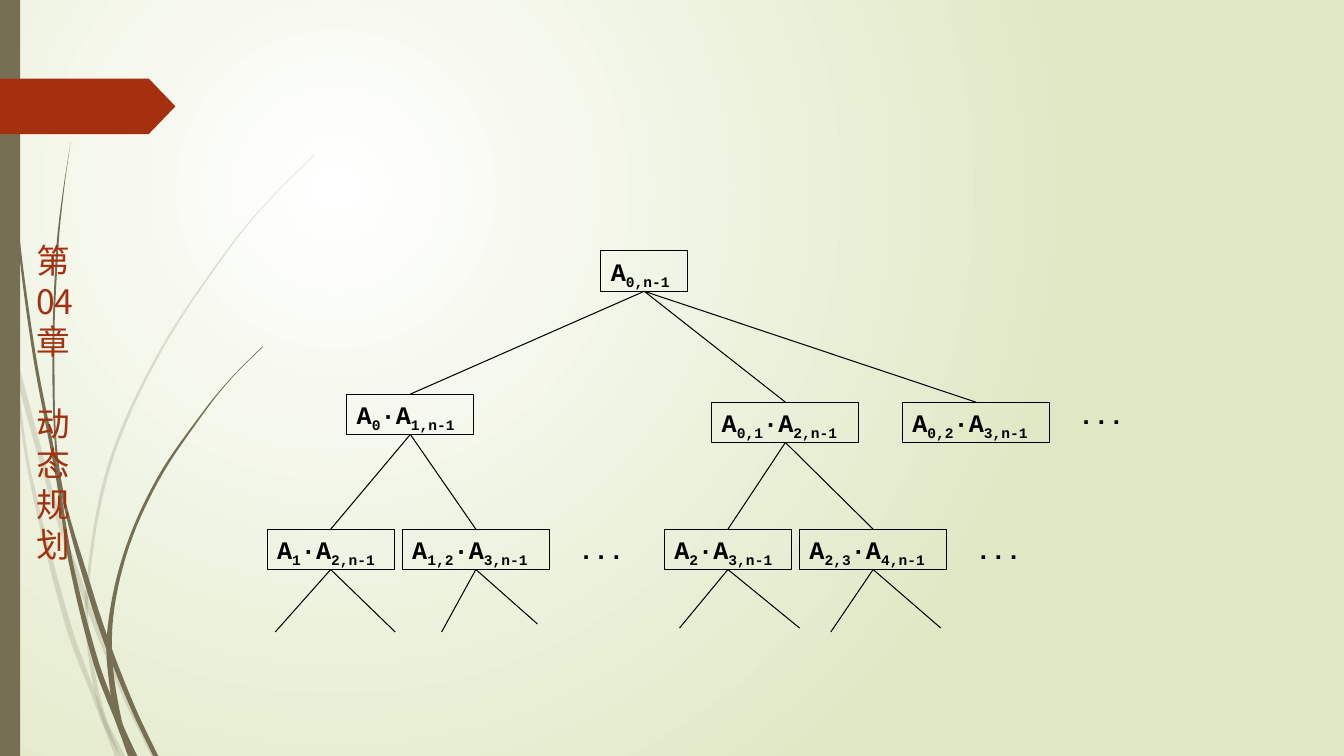
import pptx
import pptx.util
import pptx.dml.color
import pptx.enum.shapes
import pptx.enum.text
import pptx.oxml
import pptx.oxml.ns
from lxml import etree

# Content: each tree node is (terms, parent, left, top); a term is (letter, subscript)
CHAPTER = [("第", "04", "章"), ("动", "态", "规", "划")]
NODES = {
    "root": ([("A", "0,n-1")], None, 5.96, 2.49),
    "split 0": ([("A", "0"), ("·A", "1,n-1")], "root", 3.44, 3.91),
    "split 1": ([("A", "0,1"), ("·A", "2,n-1")], "root", 7.06, 3.99),
    "split 2": ([("A", "0,2"), ("·A", "3,n-1")], "root", 8.95, 3.99),
    "split 0-1": ([("A", "1"), ("·A", "2,n-1")], "split 0", 2.65, 5.25),
    "split 0-2": ([("A", "1,2"), ("·A", "3,n-1")], "split 0", 3.99, 5.25),
    "split 1-2": ([("A", "2"), ("·A", "3,n-1")], "split 1", 6.59, 5.25),
    "split 1-3": ([("A", "2,3"), ("·A", "4,n-1")], "split 1", 7.93, 5.25),
}
MORE = [(10.6, 3.91), (5.64, 5.25), (9.58, 5.25)]
OPEN_ENDS = {
    "split 0-1": [(2.73, 6.27), (3.92, 6.27)],
    "split 0-2": [(4.38, 6.27), (5.33, 6.19)],
    "split 1-2": [(6.74, 6.23), (7.93, 6.23)],
    "split 1-3": [(8.24, 6.27), (9.33, 6.23)],
}
# Grass blades: (opacity in percent, left edge, right edge), edges running downwards
BLADES = [
    (20, [(0, 2.99), (.11, 3.5), (.28, 4.7), (.65, 6.21), (.92, 6.93), (1.14, 7.5)],
     [(0, 2.82), (.09, 3.22), (.17, 3.76), (.31, 4.69), (.7, 6.19), (.93, 6.83), (1.19, 7.5)]),
    (20, [(.14, 3.45), (.17, 3.76), (.58, 5.22), (.84, 5.99), (1.23, 6.94), (1.5, 7.5)],
     [(.14, 3.45), (.62, 5.2), (.85, 5.86), (.92, 6.07), (1.27, 6.92), (1.55, 7.5)]),
    (20, [(3.12, 1.53), (2.68, 1.97), (2.28, 2.44), (1.58, 3.48), (1.07, 4.61), (.85, 5.84),
          (.87, 6.46), (1.01, 7.14), (1.19, 7.5)],
     [(3.12, 1.54), (2.68, 1.98), (2.29, 2.45), (1.6, 3.49), (1.1, 4.62), (.88, 5.84),
      (.91, 6.46), (1.05, 7.11), (1.24, 7.5)]),
    (100, [(.03, 0), (.07, 1.1), (.17, 2.33), (.33, 3.55), (.56, 4.77), (.68, 5.57),
           (.93, 6.59), (1.17, 7.22), (1.27, 7.5)],
     [(.04, 0), (.08, 1.09), (.19, 2.32), (.36, 3.55), (.55, 4.53), (.72, 5.56),
      (.98, 6.57), (1.22, 7.19), (1.36, 7.5)]),
    (100, [(.7, 1.41), (.62, 1.93), (.56, 2.45), (.52, 3.49), (.55, 4.49), (.64, 5.05),
           (.88, 5.92), (1.06, 6.45), (1.32, 7.08), (1.52, 7.5)],
     [(.7, 1.41), (.63, 1.93), (.58, 2.45), (.54, 3.49), (.6, 4.72), (.93, 5.9),
      (1.13, 6.49), (1.36, 7.06), (1.57, 7.5)]),
    (100, [(2.6, 3.44), (2.31, 3.73), (2.04, 4.05), (1.56, 4.74), (1.22, 5.51), (1.06, 6.31),
           (1.1, 6.91), (1.17, 7.22), (1.3, 7.5)],
     [(2.61, 3.44), (2.31, 3.74), (2.05, 4.06), (1.58, 4.76), (1.25, 5.52), (1.11, 6.33),
      (1.21, 7.16), (1.36, 7.5)]),
]
THEME = {
    "glow": "FFFFFF", "field": "DFE8C4", "grass": "766F54", "accent": "A53010", "ink": "000000",
    "code font": "Courier New", "title font": "Noto Sans CJK JP",
    "code size": 18, "title size": 24, "title pitch": 29, "line": 0.75,
}
NODE_HEIGHT, PADDING, LETTER, SUBSCRIPT = 0.4, 0.1, 0.15, 0.1
CURVE_STEPS = 8

inch, pt = pptx.util.Inches, pptx.util.Pt
KINDS = pptx.enum.shapes.MSO_SHAPE
qn = pptx.oxml.ns.qn
deck = pptx.Presentation()
deck.slide_width, deck.slide_height = inch(13.33), inch(7.5)
page = deck.slides.add_slide(deck.slide_layouts[6])


def color(name):
    return pptx.dml.color.RGBColor.from_string(THEME[name])


def paint(shape, name, opacity=100):
    shape.shadow.inherit = False
    shape.line.fill.background()
    shape.fill.solid()
    shape.fill.fore_color.rgb = color(name)
    if opacity < 100:
        tint = shape.element.spPr.find(qn("a:solidFill"))[0]
        etree.SubElement(tint, qn("a:alpha"), val=str(opacity * 1000))


def add_box(left, top, width, height):
    box = page.shapes.add_textbox(inch(left), inch(top), inch(width), inch(height))
    box.text_frame.word_wrap = True
    return box


def style(span, kind, tone):
    span.font.size = pt(THEME[kind + " size"])
    span.font.name = THEME[kind + " font"]
    span.font.color.rgb = color(tone)
    span.font.bold = kind == "code"


def connect(start, end):
    line = page.shapes.add_connector(
        pptx.enum.shapes.MSO_CONNECTOR.STRAIGHT, *(inch(v) for v in start + end))
    line.line.color.rgb = color("ink")
    line.line.width = pt(THEME["line"])
    etree.SubElement(line.element.spPr, qn("a:effectLst"))


def smooth_edge(knots):
    """Cubic through the knots, with x as a function of y."""
    last = len(knots) - 1
    slopes = []
    for i in range(len(knots)):
        (x0, y0), (x1, y1) = knots[max(i - 1, 0)], knots[min(i + 1, last)]
        slopes.append((x1 - x0) / (y1 - y0))
    points = [knots[0]]
    for i in range(last):
        (x0, y0), (x1, y1) = knots[i], knots[i + 1]
        rise = y1 - y0
        for step in range(1, CURVE_STEPS + 1):
            t = step / CURVE_STEPS
            x = ((2 * t**3 - 3 * t**2 + 1) * x0 + (3 * t**2 - 2 * t**3) * x1
                 + (t**3 - 2 * t**2 + t) * rise * slopes[i]
                 + (t**3 - t**2) * rise * slopes[i + 1])
            points.append((x, y0 + t * rise))
    return points


# Background glow
fill = page.background.fill
fill.gradient()
for stop, name, position in zip(fill.gradient_stops, ("glow", "field"), (0, 1)):
    stop.color.rgb, stop.position = color(name), position
gradient = next(page.element.iter(qn("a:gradFill")))
gradient.remove(gradient.find(qn("a:lin")))
circle = etree.SubElement(gradient, qn("a:path"), {"path": "circle"})
etree.SubElement(circle, qn("a:fillToRect"), l="50000", t="50000", r="100000", b="100000")

# Grass blades, side bar and tag
for opacity, left_edge, right_edge in BLADES:
    outline = smooth_edge(left_edge) + smooth_edge(right_edge)[::-1]
    corners = [(inch(x), inch(y)) for x, y in outline]
    builder = page.shapes.build_freeform(*corners[0])
    builder.add_line_segments(corners[1:], close=True)
    paint(builder.convert_to_shape(), "grass", opacity)
bar = page.shapes.add_shape(KINDS.RECTANGLE, 0, 0, inch(0.2), deck.slide_height)
paint(bar, "grass")

# Chapter title, one character per line
title = add_box(0.26, 2.33, 0.59, 3.33)
title.text_frame.text = "\n".join(line for part in CHAPTER for line in part)
for para in title.text_frame.paragraphs:
    para.line_spacing = pt(THEME["title pitch"])
    for span in para.runs:
        style(span, "title", "accent")
        etree.SubElement(span.font._element, qn("a:ea"), typeface=THEME["title font"])
title.text_frame.paragraphs[len(CHAPTER[0]) - 1].space_after = pt(THEME["title pitch"])

tag = page.shapes.add_shape(KINDS.PENTAGON, 0, inch(0.78), inch(1.74), inch(0.55))
tag.adjustments[0] = 0.48
paint(tag, "accent")

# Tree nodes and the edges to their parents
feet = {}
for name, (terms, parent, left, top) in NODES.items():
    width = 2 * PADDING + sum(len(a) * LETTER + len(b) * SUBSCRIPT for a, b in terms) + 0.01
    box = add_box(left, top, width, NODE_HEIGHT)
    box.line.color.rgb = color("ink")
    box.line.width = pt(THEME["line"])
    para = box.text_frame.paragraphs[0]
    for term in terms:
        for text, baseline in zip(term, (0, -25000)):
            span = para.add_run()
            span.text = text
            style(span, "code", "ink")
            span.font._element.set("baseline", str(baseline))
    middle = left + width / 2
    feet[name] = (middle, top + NODE_HEIGHT)
    if parent:
        connect(feet[parent], (middle, top))
for name, ends in OPEN_ENDS.items():
    for end in ends:
        connect(feet[name], end)

# Marks for further branches
for left, top in MORE:
    box = add_box(left, top, 0.67, NODE_HEIGHT)
    box.text_frame.text = "..."
    style(box.text_frame.paragraphs[0].runs[0], "code", "ink")

deck.save("out.pptx")
